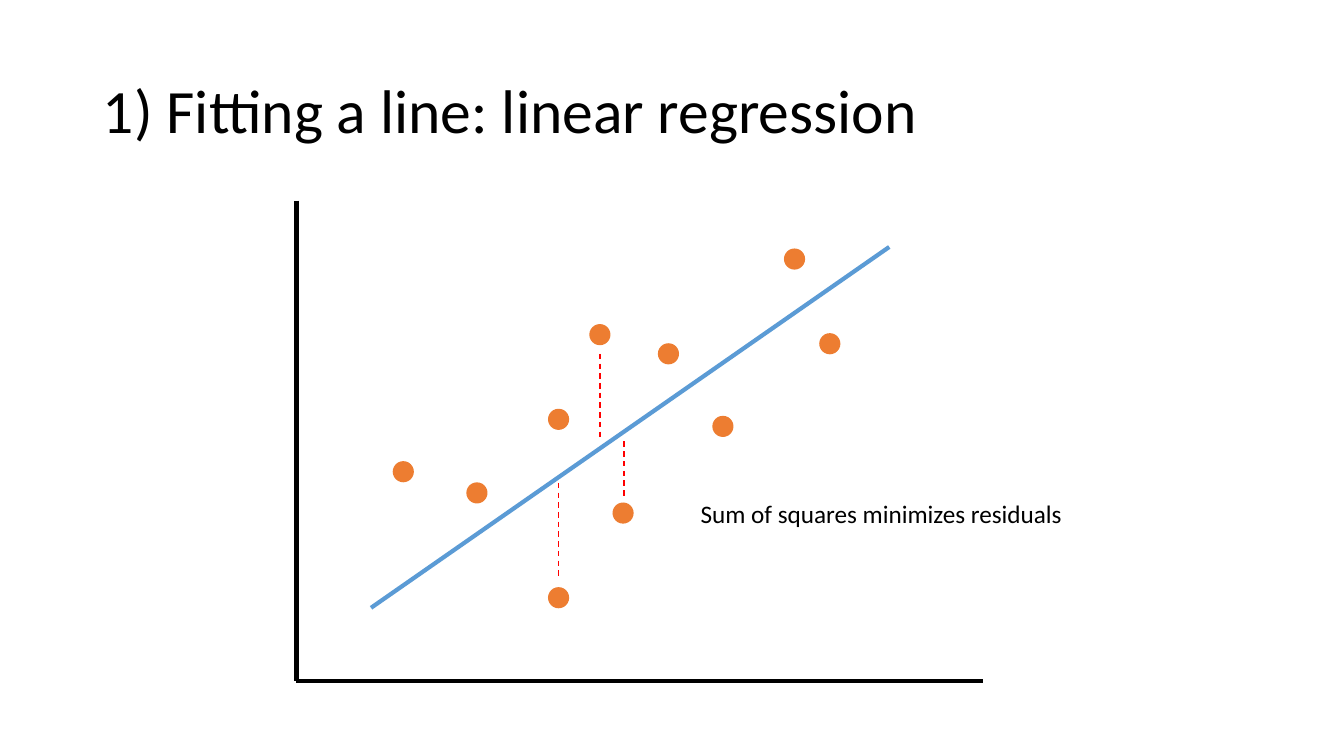
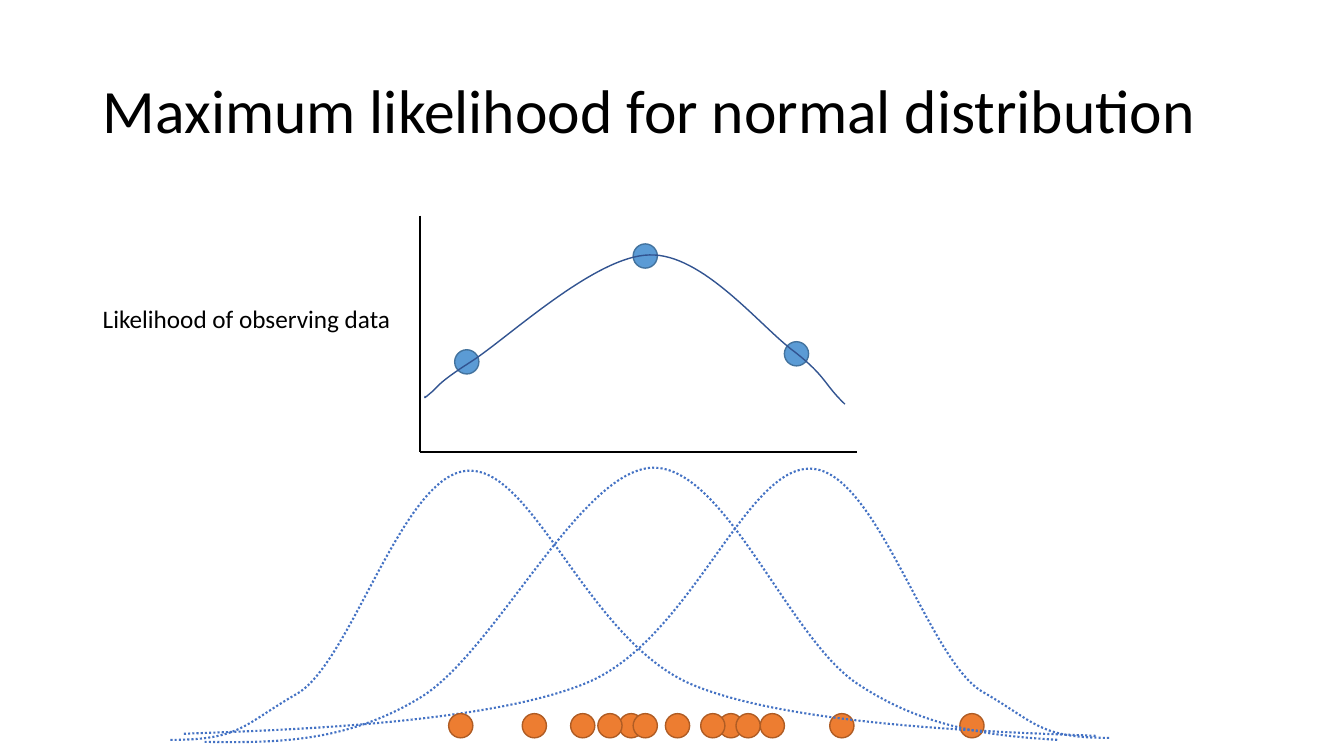
from pptx import Presentation
from pptx import util as u
from pptx.dml.color import RGBColor
from pptx.enum import dml, shapes, text
from pptx.oxml.ns import qn
from lxml import etree

FONT = "Calibri"
HUES = {
    "ink": "000000", "dot": "ED7D31", "rim": "AF5C24", "fit": "5B9BD5",
    "edge": "43739E", "gap": "FF0000", "bell": "4472C4", "curve": "325491",
}
DASH = dml.MSO_LINE

POINTS = [(1.06, 2.69), (2.6, 2.17), (2.6, 3.94), (3.01, 1.33), (4.23, 2.24),
          (5.29, 1.42), (4.94, 0.58), (1.79, 2.9), (3.69, 1.52), (3.24, 3.1)]
GAPS = [(2.6, 2.8, 3.76), (3.01, 1.52, 2.35), (3.25, 2.39, 2.96)]
PEAKS = [(0.48, 1.45), (2.25, 0.4), (3.75, 1.37)]
ARCH = [(0.07, 1.79), (0.06, 1.81), (0.05, 1.82), (0.12, 1.76),
        (0.2, 1.7), (0.16, 1.68), (0.52, 1.45),
        (0.88, 1.22), (1.75, 0.4), (2.29, 0.39),
        (2.82, 0.37), (3.4, 1.11), (3.73, 1.35),
        (4.05, 1.6), (4.02, 1.67), (4.23, 1.87)]
LEFT = [(0, 2.7), (0.7, 2.7), (0.72, 2.55), (1.26, 2.24),
        (1.8, 1.92), (2.31, 0.04), (2.96, 0.03),
        (3.61, 0.01), (4.14, 1.71), (5.17, 2.15),
        (6.21, 2.59), (8.53, 2.63), (9.18, 2.66)]
RIGHT = [(9.31 - x, y - 0.02) for x, y in LEFT]
MID = [(0.34, 2.72), (1.04, 2.73), (1.74, 2.73), (2.48, 2.28),
       (3.22, 1.83), (4.06, 0.03), (4.78, 0),
       (5.5, -0.02), (6.13, 1.69), (6.81, 2.14),
       (7.48, 2.59), (8.15, 2.66), (8.8, 2.7)]
DATA = [2.88, 3.61, 4.09, 4.57, 5.03, 5.56, 5.97, 5.73, 5.38, 6.66, 7.95,
        4.71, 4.36]


def hue(name):
    """Return a named colour."""
    return RGBColor.from_string(HUES[name])


def pen(line, name, width, dash=None):
    """Style an outline."""
    line.color.rgb = hue(name)
    line.width = u.Pt(width)
    if dash:
        line.dash_style = dash


def write(para, words, size):
    """Add one run of text."""
    run = para.add_run()
    run.text = words
    run.font.name = FONT
    run.font.size = u.Pt(size)
    run.font.color.rgb = hue("ink")


def start(deck, words):
    """Add a slide with its title."""
    slide = deck.slides.add_slide(deck.slide_layouts[5])
    title = slide.shapes.title
    title.left, title.top = u.Inches(0.92), u.Inches(0.4)
    title.width, title.height = u.Inches(11.5), u.Inches(1.45)
    frame = title.text_frame
    frame.word_wrap = True
    frame.auto_size = text.MSO_AUTO_SIZE.NONE
    frame.vertical_anchor = text.MSO_ANCHOR.MIDDLE
    para = frame.paragraphs[0]
    para.alignment = text.PP_ALIGN.LEFT
    para.line_spacing = 0.9
    write(para, words, 44)
    return slide


def label(slide, x, y, width, words):
    """Add a one-line label."""
    box = slide.shapes.add_textbox(
        u.Inches(x), u.Inches(y), u.Inches(width), u.Inches(0.4))
    box.text_frame.word_wrap = False
    box.text_frame.auto_size = text.MSO_AUTO_SIZE.SHAPE_TO_FIT_TEXT
    write(box.text_frame.paragraphs[0], words, 18)


def rule(slide, x1, y1, x2, y2, name, width, dash=None):
    """Draw a straight line."""
    line = slide.shapes.add_connector(
        shapes.MSO_CONNECTOR.STRAIGHT,
        u.Inches(x1), u.Inches(y1), u.Inches(x2), u.Inches(y2))
    pen(line.line, name, width, dash)
    etree.SubElement(line._element.spPr, qn("a:effectLst"))


def axes(slide, box, width):
    """Draw the left and bottom edges of a plot box."""
    x, y, w, h = box
    rule(slide, x, y, x, y + h, "ink", width)
    rule(slide, x, y + h, x + w, y + h, "ink", width)


def dot(slide, x, y, size, name, rim=None):
    """Draw a round marker about its centre."""
    mark = slide.shapes.add_shape(
        shapes.MSO_SHAPE.OVAL, u.Inches(x - size / 2),
        u.Inches(y - size / 2), u.Inches(size), u.Inches(size))
    mark.shadow.inherit = False
    mark.fill.solid()
    mark.fill.fore_color.rgb = hue(name)
    if rim:
        pen(mark.line, rim, 1)
    else:
        mark.line.fill.background()


def bend(shape):
    """Turn each three straight steps into one cubic curve."""
    steps = list(shape._element.iter(qn("a:lnTo")))
    for i in range(0, len(steps), 3):
        cubic = etree.Element(qn("a:cubicBezTo"))
        steps[i].addprevious(cubic)
        for step in steps[i:i + 3]:
            cubic.append(step[0])
            step.getparent().remove(step)


def curve(slide, box, knots, name, width, dash=None):
    """Draw a smooth open outline."""
    spots = [(u.Inches(box[0] + x), u.Inches(box[1] + y)) for x, y in knots]
    form = slide.shapes.build_freeform(*spots[0])
    form.add_line_segments(spots[1:], close=False)
    shape = form.convert_to_shape()
    bend(shape)
    shape.shadow.inherit = False
    shape.fill.background()
    pen(shape.line, name, width, dash)


def scatter(slide, box):
    """Draw points, fitted line and residuals."""
    x, y = box[:2]
    axes(slide, box, 3)
    rule(slide, x + 5.88, y + 0.46, x + 0.74, y + 4.04, "fit", 3)
    for px, py in POINTS:
        dot(slide, x + px, y + py, 0.21, "dot")
    for px, top, end in GAPS:
        rule(slide, x + px, y + top, x + px, y + end, "gap", 1, DASH.DASH)
    label(slide, x + 3.91, y + 2.9, 3.83,
          "Sum of squares minimizes residuals")


def bells(slide, box):
    """Draw candidate distributions and the data."""
    x, y = box[:2]
    style = ("bell", 1.5, DASH.ROUND_DOT)
    curve(slide, box, RIGHT, *style)
    for px in DATA:
        dot(slide, x + px, y + 2.56, 0.24, "dot", "rim")
    for knots in (LEFT, MID):
        curve(slide, box, knots, *style)


def odds(slide, box):
    """Draw the likelihood plot."""
    x, y, w, h = box
    axes(slide, (x + 0.02, y, w - 0.02, h), 1.5)
    label(slide, x - 3.23, y + 0.82, 3.09, "Likelihood of observing data")
    for px, py in PEAKS:
        dot(slide, x + px, y + py, 0.24, "fit", "edge")
    curve(slide, box, ARCH, "curve", 1)


def main():
    """Build and save the deck."""
    deck = Presentation()
    deck.slide_width, deck.slide_height = u.Inches(13.33), u.Inches(7.5)
    scatter(start(deck, "1) Fitting a line: linear regression"),
            (2.94, 1.99, 6.81, 4.77))
    slide = start(deck, "Maximum likelihood for normal distribution")
    bells(slide, (1.69, 4.64, 9.31, 2.72))
    odds(slide, (4.15, 2.14, 4.35, 2.34))
    deck.save("out.pptx")


if __name__ == "__main__":
    main()
